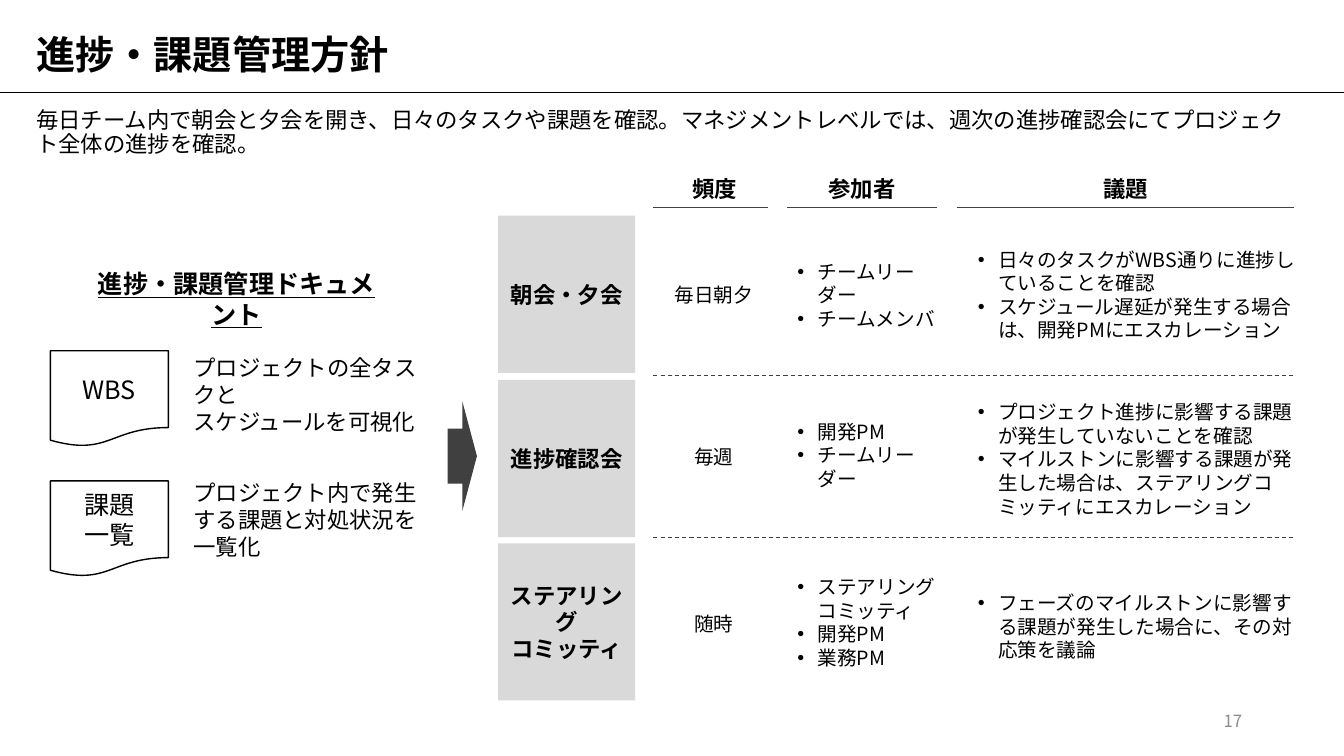
from pptx import Presentation
from pptx.dml.color import RGBColor
from pptx.enum.dml import MSO_LINE
from pptx.enum.lang import MSO_LANGUAGE_ID as Language
from pptx.enum.shapes import MSO_CONNECTOR, MSO_SHAPE as Shape
from pptx.enum.text import MSO_ANCHOR as Anchor, MSO_AUTO_SIZE as AutoSize, PP_ALIGN as Align
from pptx.oxml.ns import qn
from pptx.util import Inches, Pt
from lxml.etree import SubElement

BLACK = RGBColor(0x00, 0x00, 0x00)
WHITE = RGBColor(0xFF, 0xFF, 0xFF)
DARK = RGBColor(0x40, 0x40, 0x40)
GRAY = RGBColor(0x8C, 0x8C, 0x8C)
LIGHT = RGBColor(0xD9, 0xD9, 0xD9)
FONT = "Noto Sans CJK JP"


class SlideBuilder:
    def __init__(self, slide):
        self.slide = slide

    def set_text(self, shape, text, size, color=BLACK, bold=False, underline=False,
                 align=Align.LEFT, anchor=Anchor.MIDDLE, spacing=None, bullets=False, wrap=True):
        frame = shape.text_frame
        frame.text = text
        frame.word_wrap = wrap
        frame.auto_size = AutoSize.NONE
        frame.vertical_anchor = anchor
        for paragraph in frame.paragraphs:
            paragraph.alignment = align
            if spacing:
                paragraph.line_spacing = spacing
            if bullets:
                self.add_bullet(paragraph)
            for run in paragraph.runs:
                font = run.font
                font.size, font.bold, font.underline = Pt(size), bold, underline
                font.color.rgb = color
                font.name = FONT
                font.language_id = Language.JAPANESE
                SubElement(run._r.get_or_add_rPr(), qn("a:ea"), typeface=FONT)

    def add_bullet(self, paragraph):
        properties = paragraph._p.get_or_add_pPr()
        properties.set("marL", str(Inches(0.2)))
        properties.set("indent", str(Inches(-0.2)))
        SubElement(properties, qn("a:buFont"), typeface="Arial")
        SubElement(properties, qn("a:buChar"), char="•")

    def title(self, text, left, top, width, height):
        shape = self.slide.shapes.title
        shape.left, shape.top = Inches(left), Inches(top)
        shape.width, shape.height = Inches(width), Inches(height)
        self.set_text(shape, text, 28, bold=True, spacing=0.9)

    def text(self, text, left, top, width, height, size, **style):
        box = self.slide.shapes.add_textbox(
            Inches(left), Inches(top), Inches(width), Inches(height))
        self.set_text(box, text, size, **style)

    def shape(self, kind, left, top, width, height, fill, outline=None, text="", size=16, bold=False):
        shape = self.slide.shapes.add_shape(
            kind, Inches(left), Inches(top), Inches(width), Inches(height))
        shape.shadow.inherit = False
        shape.fill.solid()
        shape.fill.fore_color.rgb = fill
        if outline is None:
            shape.line.fill.background()
        else:
            shape.line.color.rgb = outline
            shape.line.width = Pt(1)
        if text:
            self.set_text(shape, text, size, bold=bold, align=Align.CENTER)

    def rule(self, left, right, top, color=DARK, weight=0.75, dashed=False):
        line = self.slide.shapes.add_connector(
            MSO_CONNECTOR.STRAIGHT, Inches(left), Inches(top), Inches(right), Inches(top))
        line.line.color.rgb = color
        line.line.width = Pt(weight)
        if dashed:
            line.line.dash_style = MSO_LINE.DASH
        SubElement(line._element.spPr, qn("a:effectLst"))


presentation = Presentation()
presentation.slide_width, presentation.slide_height = Inches(13.33), Inches(7.5)
builder = SlideBuilder(presentation.slides.add_slide(presentation.slide_layouts[5]))

builder.rule(0, 13.33, 0.92, BLACK, 0.5)
builder.title("進捗・課題管理方針", 0.26, 0.21, 12.69, 0.7)
builder.text("毎日チーム内で朝会と夕会を開き、日々のタスクや課題を確認。"
             "マネジメントレベルでは、週次の進捗確認会にてプロジェクト全体の進捗を確認。",
             0.26, 1.03, 12.69, 0.38, 16, anchor=Anchor.TOP, spacing=0.9)
builder.text("17", 9.42, 6.95, 3, 0.4, 12, color=GRAY, align=Align.RIGHT)

builder.text("進捗・課題管理ドキュメント", 0.79, 2.65, 3.11, 0.63, 18,
             bold=True, underline=True, align=Align.CENTER)
documents = [
    ("WBS", 3.48, "プロジェクトの全タスクと\vスケジュールを可視化", 3.6),
    ("課題\n一覧", 4.77, "プロジェクト内で発生する課題と対処状況を一覧化", 4.84),
]
for name, document_top, description, description_top in documents:
    builder.shape(Shape.FLOWCHART_DOCUMENT, 0.5, document_top, 1.17, 0.95, WHITE, BLACK, name, 18)
    builder.text(description, 1.82, description_top, 2.57, 0.63, 16)

builder.shape(Shape.RIGHT_ARROW, 4.44, 3.98, 0.29, 1.09, DARK)

columns = [
    ("頻度", 6.76, 0.65, 6.48, 7.62),
    ("参加者", 8.11, 0.88, 7.81, 9.29),
    ("議題", 10.84, 0.65, 9.49, 12.83),
]
for heading, heading_left, heading_width, rule_left, rule_right in columns:
    builder.text(heading, heading_left, 1.69, heading_width, 0.37, 16,
                 bold=True, align=Align.CENTER, anchor=Anchor.TOP, wrap=False)
    builder.rule(rule_left, rule_right, 2.06)

meetings = [
    ("朝会・夕会", 2.14, ("毎日朝夕", 2.61), ("チームリーダー\nチームメンバ", 2.61),
     ("日々のタスクがWBS通りに進捗していることを確認\n"
      "スケジュール遅延が発生する場合は、開発PMにエスカレーション", 2.61)),
    ("進捗確認会", 3.77, ("毎週", 4.22), ("開発PM\nチームリーダー", 4.2),
     ("プロジェクト進捗に影響する課題が発生していないことを確認\n"
      "マイルストンに影響する課題が発生した場合は、"
      "ステアリングコミッティにエスカレーション", 4.24)),
    ("ステアリング\nコミッティ", 5.39, ("随時", 5.87),
     ("ステアリングコミッティ\n開発PM\n業務PM", 5.86),
     ("フェーズのマイルストンに影響する課題が発生した場合に、その対応策を議論", 5.9)),
]
for meeting, meeting_top, frequency, participants, agenda in meetings:
    builder.shape(Shape.RECTANGLE, 4.94, meeting_top, 1.36, 1.56, LIGHT, text=meeting, bold=True)
    builder.text(frequency[0], 6.48, frequency[1], 1.2, 0.63, 14, align=Align.CENTER)
    for (items, items_top), left, width in ((participants, 7.81, 1.61), (agenda, 9.6, 3.35)):
        builder.text(items, left, items_top, width, 0.63, 14, bullets=True)

for divider_top in (3.73, 5.33):
    builder.rule(6.48, 12.83, divider_top, dashed=True)

presentation.save("out.pptx")
